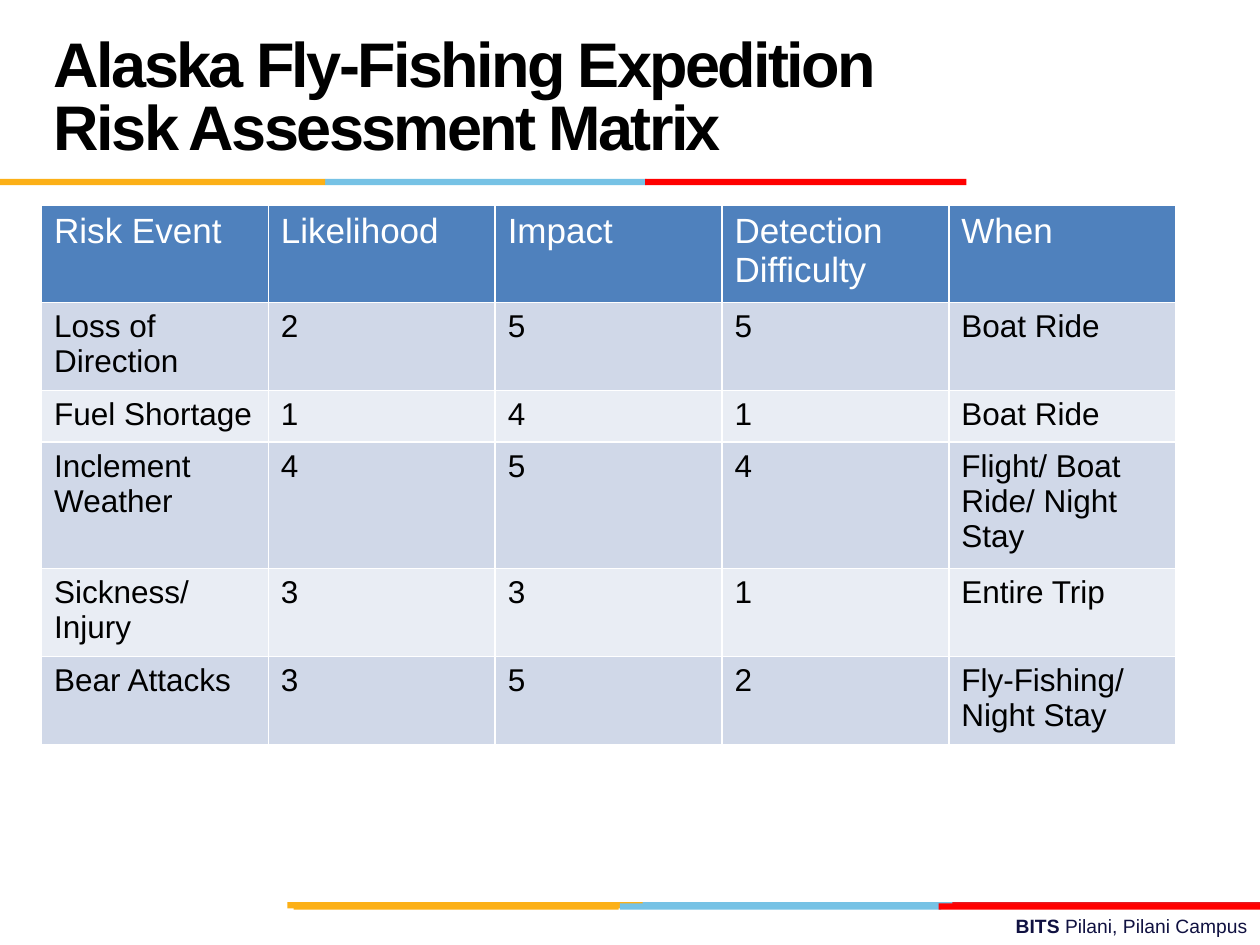
from lxml import etree
from pptx import Presentation, util as u
from pptx.dml.color import RGBColor
from pptx.enum import shapes, text
from pptx.oxml import ns

Inches, Pt = u.Inches, u.Pt


def paint(fill, hue):
    fill.solid()
    fill.fore_color.rgb = RGBColor.from_string(hue)


def add_run(para, words, size, hue, bold=False):
    run = para.add_run()
    run.text = words
    run.font.name = "Arial"
    run.font.size = Pt(size)
    run.font.bold = bold
    paint(run.font.fill, hue)
    return run


deck = Presentation()
deck.slide_width, deck.slide_height = Inches(10), Inches(7.5)
slide = deck.slides.add_slide(deck.slide_layouts[6])

# Campus name at the foot
foot = slide.shapes.add_textbox(Inches(3.58), Inches(7.21), Inches(6.42), Inches(0.29))
foot.text_frame.word_wrap = True
para = foot.text_frame.paragraphs[0]
para.alignment = text.PP_ALIGN.RIGHT
add_run(para, "BITS ", 11, "101141", True)
add_run(para, "Pilani, Pilani Campus", 11, "101141")

# Colour bars: two layers at the foot, one under the title
gold, blue, red = "FCB017", "76C2E5", "FF0000"
bars = [
    (7.16, [(5.06, 2.55, blue), (7.56, 2.44, "E31C24"), (2.28, 2.82, gold)]),
    (7.17, [(4.92, 2.55, blue), (2.33, 2.58, gold), (7.45, 2.55, red)]),
    (1.42, [(2.58, 2.55, blue), (0, 2.58, gold), (5.12, 2.55, red)]),
]
for top, strip in bars:
    for left, wide, hue in strip:
        bar = slide.shapes.add_shape(shapes.MSO_SHAPE.RECTANGLE, Inches(left),
                                     Inches(top), Inches(wide), Inches(0.05))
        bar.shadow.inherit = False
        paint(bar.fill, hue)
        bar.line.fill.background()

# Risk table
rows = [
    ["Risk Event", "Likelihood", "Impact", "Detection\nDifficulty", "When"],
    ["Loss of Direction", "2", "5", "5", "Boat Ride"],
    ["Fuel Shortage", "1", "4", "1", "Boat Ride"],
    ["Inclement Weather", "4", "5", "4", "Flight/ Boat Ride/ Night Stay"],
    ["Sickness/ Injury", "3", "3", "1", "Entire Trip"],
    ["Bear Attacks", "3", "5", "2", "Fly-Fishing/ Night Stay"],
]
highs = [0.77, 0.7, 0.41, 1, 0.7, 0.7]
grid = slide.shapes.add_table(len(rows), 5, Inches(0.33), Inches(1.63),
                              Inches(9), Inches(sum(highs))).table
for col in grid.columns:
    col.width = Inches(1.8)
for r, (row, high) in enumerate(zip(rows, highs)):
    grid.rows[r].height = Inches(high)
    head = r == 0
    back = "4F81BD" if head else ("E9EDF4", "D0D8E8")[r % 2]
    for c, words in enumerate(row):
        cell = grid.cell(r, c)
        frame = cell.text_frame
        for n, line in enumerate(words.split("\n")):
            para = frame.add_paragraph() if n else frame.paragraphs[0]
            add_run(para, line, 20 if head else 18, "FFFFFF" if head else "000000")
        # White cell borders
        props = cell._tc.get_or_add_tcPr()
        for side in "LRTB":
            edge = etree.SubElement(props, ns.qn("a:ln" + side), w=str(Pt(1)))
            fill = etree.SubElement(edge, ns.qn("a:solidFill"))
            etree.SubElement(fill, ns.qn("a:srgbClr"), val="FFFFFF")
        paint(cell.fill, back)

# Title
title = slide.shapes.add_textbox(Inches(0.33), Inches(0.17), Inches(6.92), Inches(1.25))
frame = title.text_frame
frame.word_wrap = True
frame.vertical_anchor = text.MSO_ANCHOR.MIDDLE
for n, line in enumerate(["Alaska Fly-Fishing Expedition", "Risk Assessment Matrix"]):
    para = frame.add_paragraph() if n else frame.paragraphs[0]
    para.line_spacing = Pt(36)
    run = add_run(para, line, 36, "000000", True)
    run.font._element.set("spc", "-150")  # tight letters

deck.save("out.pptx")
